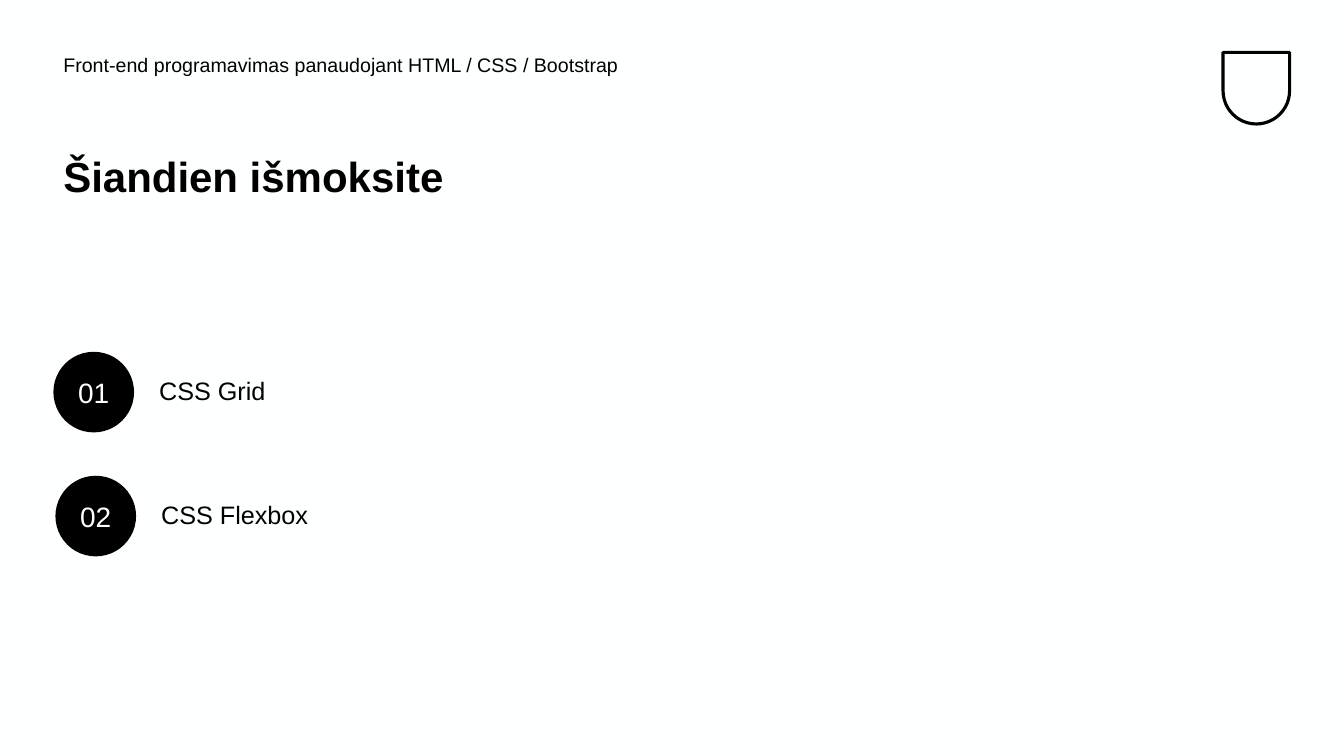
import pptx
import pptx.util
import pptx.dml.color
import pptx.enum.shapes
import pptx.enum.text

Inches = pptx.util.Inches
COLORS = {"ink": "000000", "paper": "FEFFFF"}


def color(name):
    return pptx.dml.color.RGBColor.from_string(COLORS[name])


def write(shape, text, size, ink="ink", bold=False, spacing=1.0):
    shape.text_frame.word_wrap = True
    paragraph = shape.text_frame.paragraphs[0]
    paragraph.text = text
    paragraph.line_spacing = spacing
    paragraph.font.name = "Arial"
    paragraph.font.size = pptx.util.Pt(size)
    paragraph.font.bold = bold
    paragraph.font.color.rgb = color(ink)
    return paragraph


presentation = pptx.Presentation()
presentation.slide_width = Inches(13.33)
presentation.slide_height = Inches(7.5)
slide = presentation.slides.add_slide(presentation.slide_layouts[6])
slide.background.fill.solid()
slide.background.fill.fore_color.rgb = color("paper")

# Plain badge in the top right corner
badge = slide.shapes.add_shape(
    pptx.enum.shapes.MSO_SHAPE.ROUND_2_SAME_RECTANGLE,
    Inches(12.13), Inches(0.52), Inches(0.66), Inches(0.71))
badge.adjustments[0] = 0.5
badge.rotation = 180
badge.shadow.inherit = False
badge.fill.background()
badge.line.color.rgb = color("ink")
badge.line.width = pptx.util.Pt(2.25)

# Course name and title
course = slide.shapes.add_textbox(Inches(0.53), Inches(0.5), Inches(7.42), Inches(0.5))
write(course, "Front-end programavimas panaudojant HTML / CSS / Bootstrap", 14, spacing=0.9)
title = slide.shapes.add_textbox(Inches(0.53), Inches(1.5), Inches(5.64), Inches(1.49))
write(title, "Šiandien išmoksite", 30, bold=True, spacing=0.9)

# Numbered topics
topics = [("CSS Grid", 0.53, 3.49), ("CSS Flexbox", 0.55, 4.72)]
for number, (topic, left, top) in enumerate(topics, start=1):
    label = slide.shapes.add_textbox(
        Inches(left + 0.95), Inches(top + 0.18), Inches(4.63), Inches(0.45))
    write(label, topic, 18)

    circle = slide.shapes.add_shape(
        pptx.enum.shapes.MSO_SHAPE.OVAL,
        Inches(left), Inches(top), Inches(0.8), Inches(0.8))
    circle.shadow.inherit = False
    circle.fill.solid()
    circle.fill.fore_color.rgb = color("ink")
    circle.line.fill.background()
    circle.text_frame.vertical_anchor = pptx.enum.text.MSO_ANCHOR.MIDDLE
    paragraph = write(circle, f"{number:02d}", 20, ink="paper")
    paragraph.alignment = pptx.enum.text.PP_ALIGN.CENTER

presentation.save("out.pptx")
